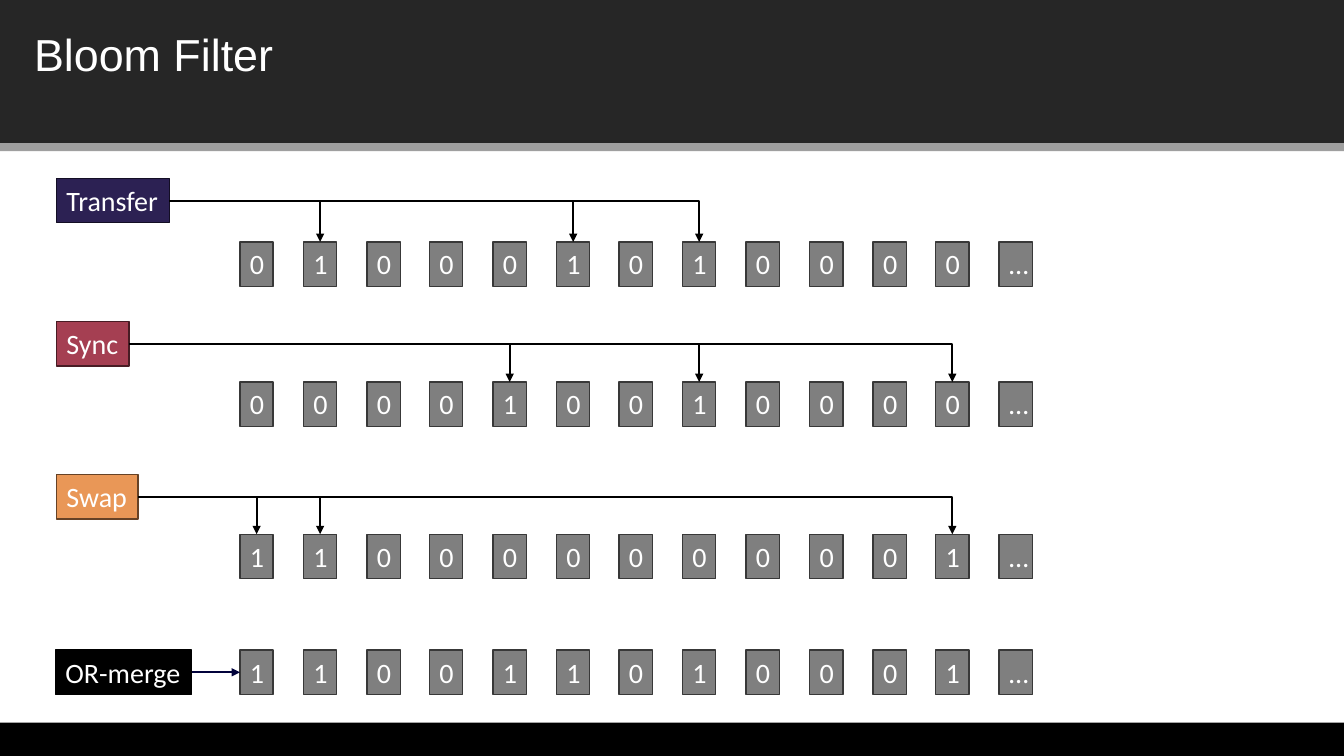
"""Builds the Bloom Filter slide: three hashed keys and their OR-merged bit row."""
from dataclasses import dataclass

from lxml import etree
from pptx import Presentation
from pptx import util as u
from pptx.dml.color import RGBColor
from pptx.enum import shapes, text
from pptx.oxml.ns import qn

EMU_PER_PX = 9144
SLIDE_WIDTH, SLIDE_HEIGHT = 1333, 750
BOX_HEIGHT = 44
CELL_WIDTH = 33
FIRST_CELL, LAST_CELL = 238, 991
TOP, LEFT, RIGHT = 0, 1, 3


@dataclass(frozen=True)
class Theme:
    header: str = "262626"
    divider: str = "9F9F9F"
    footer: str = "000000"
    cell: str = "7F7F7F"
    cell_edge: str = "383838"
    ink: str = "FFFFFF"
    title_font: str = "Arial"
    body_font: str = "Calibri"
    title_size: int = 32
    body_size: int = 20
    edge_width: float = 1
    arrow_width: float = 1.5


@dataclass(frozen=True)
class Band:
    top: int
    height: int
    fill: str


@dataclass(frozen=True)
class BitRow:
    name: str
    left: int
    label_top: int
    width: int
    fill: str
    edge: str
    cells_top: int
    bits: str
    hashes: tuple[int, ...] = ()
    arrow: str = "000000"


THEME = Theme()
BANDS = (
    Band(0, 142, THEME.header),
    Band(142, 8, THEME.divider),
    Band(717, 33, THEME.footer),
)
ROWS = (
    BitRow("Transfer", 56, 177, 112, "2C2153", "130E24", 240, "010001010000…", (1, 5, 7)),
    BitRow("Sync", 56, 319, 72, "A53F52", "481C24", 379, "000010010000…", (11, 4, 7)),
    BitRow("Swap", 56, 471, 81, "E99757", "664226", 530, "110000000001…", (11, 0, 1)),
    BitRow("OR-merge", 55, 645, 135, "000000", "000000", 645, "110011010001…", arrow="01023B"),
)


def px(length: int) -> u.Emu:
    return u.Emu(length * EMU_PER_PX)


def style_text(frame, words: str, font_name: str, size: int) -> None:
    frame.text = words
    paragraph = frame.paragraphs[0]
    paragraph.alignment = text.PP_ALIGN.LEFT
    font = paragraph.runs[0].font
    font.name, font.size = font_name, u.Pt(size)
    font.color.rgb = RGBColor.from_string(THEME.ink)


def draw_rect(canvas, left: int, top: int, width: int, height: int, fill: str):
    rect = canvas.add_shape(
        shapes.MSO_SHAPE.RECTANGLE, px(left), px(top), px(width), px(height))
    rect.shadow.inherit = False
    rect.fill.solid()
    rect.fill.fore_color.rgb = RGBColor.from_string(fill)
    rect.line.fill.background()
    return rect


def draw_box(canvas, words: str, left: int, top: int, width: int,
             fill: str, edge: str, wrap: bool):
    box = draw_rect(canvas, left, top, width, BOX_HEIGHT, fill)
    box.line.color.rgb = RGBColor.from_string(edge)
    box.line.width = u.Pt(THEME.edge_width)
    box.text_frame.word_wrap = wrap
    box.text_frame.vertical_anchor = text.MSO_ANCHOR.TOP
    style_text(box.text_frame, words, THEME.body_font, THEME.body_size)
    return box


def draw_arrow(canvas, label, cell, side: int, color: str) -> None:
    bent = side == TOP
    kind = shapes.MSO_CONNECTOR.ELBOW if bent else shapes.MSO_CONNECTOR.STRAIGHT
    arrow = canvas.add_connector(kind, 0, 0, 0, 0)
    arrow.begin_connect(label, RIGHT)
    arrow.end_connect(cell, side)
    arrow.line.color.rgb = RGBColor.from_string(color)
    arrow.line.width = u.Pt(THEME.arrow_width)
    properties = arrow.element.spPr
    if bent:
        properties.find(qn("a:prstGeom")).set("prst", "bentConnector2")
    etree.SubElement(properties.find(qn("a:ln")), qn("a:tailEnd"), type="triangle")
    etree.SubElement(properties, qn("a:effectLst"))


def draw_row(slide, row: BitRow) -> None:
    canvas = slide.shapes.add_group_shape().shapes
    label = draw_box(canvas, row.name, row.left, row.label_top, row.width,
                     row.fill, row.edge, wrap=False)
    span, gaps = LAST_CELL - FIRST_CELL, len(row.bits) - 1
    cells = [
        draw_box(canvas, bit, FIRST_CELL + round(span * index / gaps), row.cells_top,
                 CELL_WIDTH, THEME.cell, THEME.cell_edge, wrap=True)
        for index, bit in enumerate(row.bits)
    ]
    for index in row.hashes:
        draw_arrow(canvas, label, cells[index], TOP, row.arrow)
    if not row.hashes:
        draw_arrow(canvas, label, cells[0], LEFT, row.arrow)


def main() -> None:
    deck = Presentation()
    deck.slide_width, deck.slide_height = px(SLIDE_WIDTH), px(SLIDE_HEIGHT)
    slide = deck.slides.add_slide(deck.slide_layouts[6])
    for band in BANDS:
        draw_rect(slide.shapes, 0, band.top, SLIDE_WIDTH, band.height, band.fill)
    title = slide.shapes.add_textbox(px(24), px(22), px(1284), px(64))
    title.text_frame.word_wrap = True
    style_text(title.text_frame, "Bloom Filter", THEME.title_font, THEME.title_size)
    for row in ROWS:
        draw_row(slide, row)
    deck.save("out.pptx")


if __name__ == "__main__":
    main()
